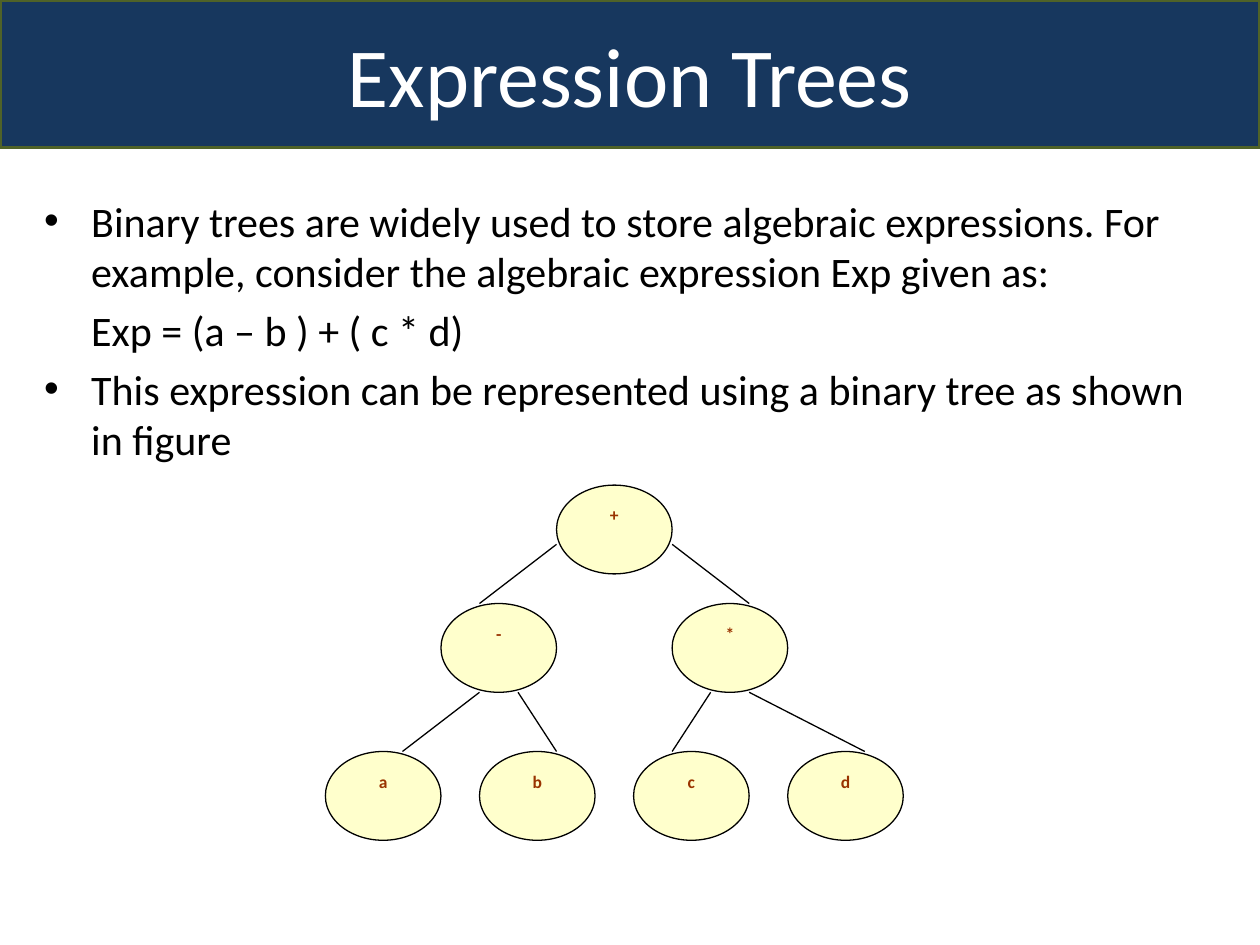
from dataclasses import dataclass

import lxml.etree
import pptx
import pptx.dml.color
import pptx.enum.shapes
import pptx.enum.text
import pptx.oxml.ns
import pptx.util

Cm = pptx.util.Cm
Pt = pptx.util.Pt
Align = pptx.enum.text.PP_ALIGN
ShapeType = pptx.enum.shapes.MSO_SHAPE

TREE_LEFT, TREE_TOP = 6.56, 9.78
COLUMN, ROW = 9.32 / 12, 5.37 / 9
NODE_SPAN = 3
HANGING = Cm(0.95)


@dataclass(frozen=True)
class Node:
    text: str
    column: int
    row: int


@dataclass(frozen=True)
class Edge:
    start: tuple[int, int]
    end: tuple[int, int]


@dataclass(frozen=True)
class BodyLine:
    text: str
    bulleted: bool = True


NODES = [
    Node("+", 6, 0),
    Node("-", 3, 4),
    Node("*", 9, 4),
    Node("a", 0, 9),
    Node("b", 4, 9),
    Node("c", 8, 9),
    Node("d", 12, 9),
]
EDGES = [
    Edge((6, 2), (4, 4)),
    Edge((9, 2), (11, 4)),
    Edge((4, 7), (2, 9)),
    Edge((5, 7), (6, 9)),
    Edge((10, 7), (9, 9)),
    Edge((11, 7), (14, 9)),
]
BODY = [
    BodyLine(
        "Binary trees are widely used to store algebraic expressions. "
        "For example, consider the algebraic expression Exp given as:"
    ),
    BodyLine("Exp = (a – b ) + ( c * d)", bulleted=False),
    BodyLine("This expression can be represented using a binary tree as shown in figure"),
]


def color(value: str) -> pptx.dml.color.RGBColor:
    return pptx.dml.color.RGBColor.from_string(value)


def write_text(paragraph, text: str, *, size: float, fill: str = "000000",
               bold: bool = False, align=Align.LEFT) -> None:
    paragraph.alignment = align
    run = paragraph.add_run()
    run.text = text
    run.font.name = "Calibri"
    run.font.size = Pt(size)
    run.font.bold = bold
    run.font.color.rgb = color(fill)


def style_shape(shape, *, fill: str, line: str, width: float) -> None:
    shape.shadow.inherit = False
    shape.fill.solid()
    shape.fill.fore_color.rgb = color(fill)
    shape.line.color.rgb = color(line)
    shape.line.width = Pt(width)


def grid_point(column: int, row: int) -> tuple[int, int]:
    return Cm(TREE_LEFT + column * COLUMN), Cm(TREE_TOP + row * ROW)


def draw_title(slide, text: str) -> None:
    banner = slide.shapes.add_shape(
        ShapeType.ROUNDED_RECTANGLE, 0, 0, Cm(25.4), Cm(2.97)
    )
    banner.adjustments[0] = 0
    style_shape(banner, fill="17375E", line="4F6228", width=2)
    banner.text_frame.vertical_anchor = pptx.enum.text.MSO_ANCHOR.MIDDLE
    write_text(banner.text_frame.paragraphs[0], text, size=48,
               fill="FFFFFF", align=Align.CENTER)


def draw_body(slide, lines: list[BodyLine]) -> None:
    frame = slide.shapes.add_textbox(Cm(0.64), Cm(3.81), Cm(23.93), Cm(6.4)).text_frame
    frame.word_wrap = True
    for index, line in enumerate(lines):
        paragraph = frame.add_paragraph() if index else frame.paragraphs[0]
        write_text(paragraph, line.text, size=24)
        paragraph.space_before = Pt(4.8)
        properties = paragraph._p.get_or_add_pPr()
        properties.set("marL", str(HANGING))
        if line.bulleted:
            properties.set("indent", str(-HANGING))
            font = lxml.etree.SubElement(properties, pptx.oxml.ns.qn("a:buFont"))
            font.set("typeface", "Arial")
            bullet = lxml.etree.SubElement(properties, pptx.oxml.ns.qn("a:buChar"))
            bullet.set("char", "•")


def draw_node(tree, node: Node) -> None:
    left, top = grid_point(node.column, node.row)
    ellipse = tree.shapes.add_shape(
        ShapeType.OVAL, left, top, Cm(NODE_SPAN * COLUMN), Cm(NODE_SPAN * ROW)
    )
    style_shape(ellipse, fill="FFFFCC", line="000000", width=0.75)
    ellipse.text_frame.vertical_anchor = pptx.enum.text.MSO_ANCHOR.TOP
    write_text(ellipse.text_frame.paragraphs[0], node.text, size=10,
               fill="993300", bold=True, align=Align.CENTER)


def draw_edge(tree, edge: Edge) -> None:
    connector = tree.shapes.add_connector(
        pptx.enum.shapes.MSO_CONNECTOR.STRAIGHT,
        *grid_point(*edge.start), *grid_point(*edge.end),
    )
    connector.line.color.rgb = color("000000")
    connector.line.width = Pt(0.75)
    lxml.etree.SubElement(connector._element.spPr, pptx.oxml.ns.qn("a:effectLst"))


def main() -> None:
    presentation = pptx.Presentation()
    presentation.slide_width = Cm(25.4)
    presentation.slide_height = Cm(19.05)
    slide = presentation.slides.add_slide(presentation.slide_layouts[6])
    draw_title(slide, "Expression Trees")
    draw_body(slide, BODY)
    tree = slide.shapes.add_group_shape()
    for edge in EDGES:
        draw_edge(tree, edge)
    for node in NODES:
        draw_node(tree, node)
    presentation.save("out.pptx")


if __name__ == "__main__":
    main()
